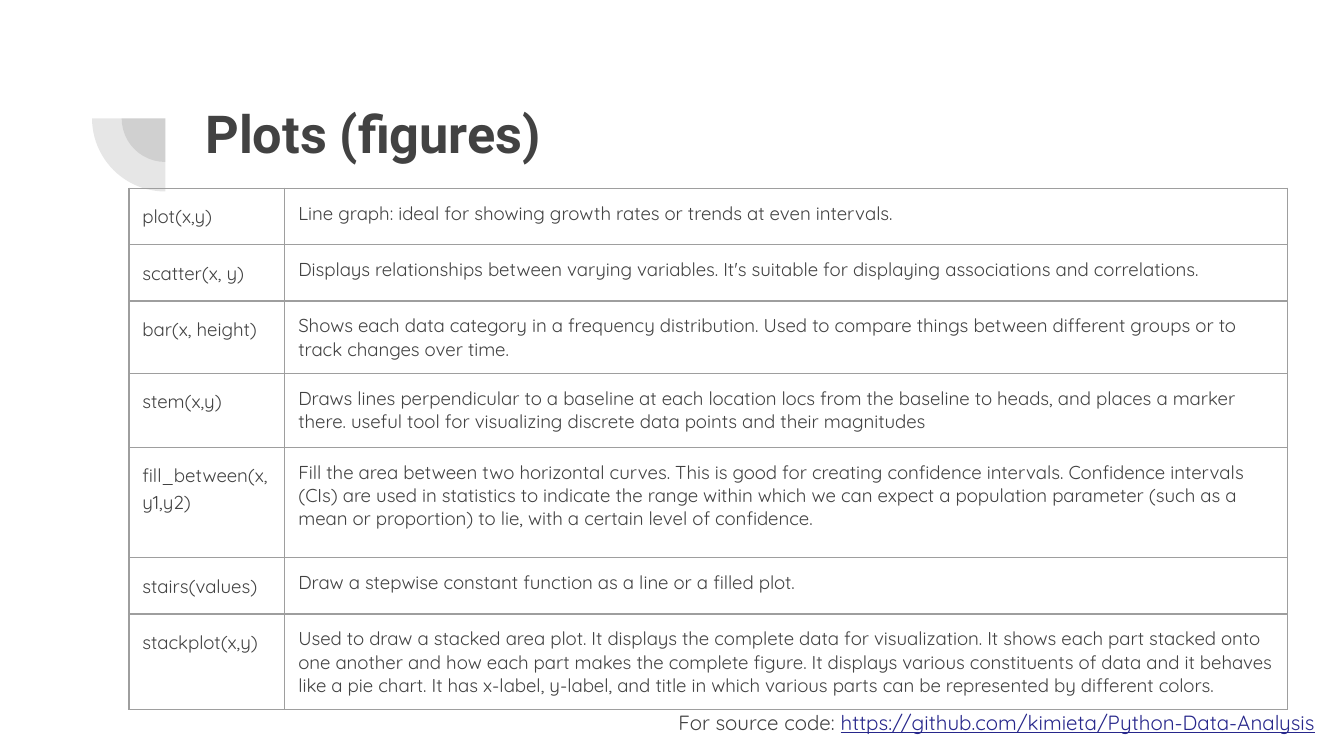
from typing import NamedTuple

from lxml import etree
from pptx import Presentation
from pptx import util as u
from pptx.dml.color import RGBColor
from pptx.enum import shapes, text
from pptx.oxml import ns

INK = RGBColor(0x42, 0x42, 0x42)
LINK = RGBColor(0x27, 0x27, 0x8B)
BORDER = RGBColor(0x9E, 0x9E, 0x9E)

BODY_FONT = {"name": "Quicksand", "size": u.Pt(10)}
FOOTER_FONT = {"name": "Quicksand", "size": u.Pt(11)}
TITLE_FONT = {"name": "Roboto", "size": u.Pt(28), "bold": True}
MARGINS = dict.fromkeys(
    ("margin_left", "margin_top", "margin_right", "margin_bottom"), u.Inches(0.1))

SLIDE_WIDTH = u.Inches(10)
SLIDE_HEIGHT = SLIDE_WIDTH * 9 // 16
COLUMN_WIDTHS = (1.16, 7.46)
PIE_CENTRE = (1.23, 0.88)
PIE_DIAMETERS = (0.65, 1.09)


class PlotRow(NamedTuple):
    call: str
    description: str
    height: float


class Run(NamedTuple):
    words: str
    font: dict
    color: RGBColor = INK


PLOT_ROWS = (
    PlotRow("plot(x,y)",
            "Line graph: ideal for showing growth rates or trends at even intervals.", 0.42),
    PlotRow("scatter(x, y)",
            "Displays relationships between varying variables. It's suitable for displaying "
            "associations and correlations.", 0.42),
    PlotRow("bar(x, height)",
            "Shows each data category in a frequency distribution. Used to compare things "
            "between different groups or to track changes over time.", 0.54),
    PlotRow("stem(x,y)",
            "Draws lines perpendicular to a baseline at each location locs from the baseline "
            "to heads, and places a marker there. useful tool for visualizing discrete data "
            "points and their magnitudes", 0.55),
    PlotRow("fill_between(x,y1,y2)",
            "Fill the area between two horizontal curves. This is good for creating confidence "
            "intervals. Confidence intervals (CIs) are used in statistics to indicate the range "
            "within which we can expect a population parameter (such as a mean or proportion) "
            "to lie, with a certain level of confidence.", 0.82),
    PlotRow("stairs(values)",
            "Draw a stepwise constant function as a line or a filled plot.", 0.42),
    PlotRow("stackplot(x,y)",
            "Used to draw a stacked area plot. It displays the complete data for visualization. "
            "It shows each part stacked onto one another and how each part makes the complete "
            "figure. It displays various constituents of data and it behaves like a pie chart. "
            "It has x-label, y-label, and title in which various parts can be represented by "
            "different colors.", 0.71),
)


def set_attributes(target, values: dict) -> None:
    for name, value in values.items():
        setattr(target, name, value)


def write_runs(paragraph, *runs: Run) -> None:
    for item in runs:
        run = paragraph.add_run()
        run.text = item.words
        set_attributes(run.font, item.font)
        run.font.color.rgb = item.color


def add_text(slide, left: float, top: float, width: float, height: float, *runs: Run) -> None:
    box = slide.shapes.add_textbox(*map(u.Inches, (left, top, width, height)))
    set_attributes(box.text_frame, MARGINS | {
        "word_wrap": True, "vertical_anchor": text.MSO_ANCHOR.TOP})
    write_runs(box.text_frame.paragraphs[0], *runs)


def add_quarter(slide, diameter: float) -> None:
    """Draw a translucent lower-left quarter disc around the shared centre."""
    left, top = (centre - diameter / 2 for centre in PIE_CENTRE)
    quarter = slide.shapes.add_shape(
        shapes.MSO_SHAPE.PIE, *map(u.Inches, (left, top, diameter, diameter)))
    quarter.adjustments[0], quarter.adjustments[1] = 108, 162
    quarter.rotation = 270
    quarter.shadow.inherit = False
    quarter.line.fill.background()
    quarter.fill.solid()
    quarter.fill.fore_color.rgb = INK
    color = quarter.fill._xPr.find(f".//{ns.qn('a:srgbClr')}")
    etree.SubElement(color, ns.qn("a:alpha"), val="13000")


def add_borders(cell) -> None:
    properties = cell._tc.get_or_add_tcPr()
    for index, side in enumerate(("lnL", "lnR", "lnT", "lnB")):
        line = etree.Element(ns.qn(f"a:{side}"), w=str(u.Pt(0.75)))
        fill = etree.SubElement(line, ns.qn("a:solidFill"))
        etree.SubElement(fill, ns.qn("a:srgbClr"), val=str(BORDER))
        properties.insert(index, line)


def fill_cell(cell, words: str, line_spacing: float) -> None:
    set_attributes(cell, MARGINS | {"vertical_anchor": text.MSO_ANCHOR.TOP})
    cell.fill.background()
    add_borders(cell)
    paragraph = cell.text_frame.paragraphs[0]
    paragraph.line_spacing = line_spacing
    write_runs(paragraph, Run(words, BODY_FONT))


def add_plot_table(slide, left: float, top: float) -> None:
    height = sum(row.height for row in PLOT_ROWS)
    table = slide.shapes.add_table(
        len(PLOT_ROWS), len(COLUMN_WIDTHS),
        *map(u.Inches, (left, top, sum(COLUMN_WIDTHS), height))).table
    set_attributes(table, {"first_row": False, "horz_banding": False})
    for column, width in zip(table.columns, COLUMN_WIDTHS):
        column.width = u.Inches(width)
    for row, plot in zip(table.rows, PLOT_ROWS):
        row.height = u.Inches(plot.height)
        fill_cell(row.cells[0], plot.call, 1.15)
        fill_cell(row.cells[1], plot.description, 1.0)


def main() -> None:
    presentation = Presentation()
    presentation.slide_width = SLIDE_WIDTH
    presentation.slide_height = SLIDE_HEIGHT
    slide = presentation.slides.add_slide(presentation.slide_layouts[6])

    for diameter in PIE_DIAMETERS:
        add_quarter(slide, diameter)
    add_text(slide, 4.95, 5.19, 5.03, 0.43,
             Run("For source code: ", FOOTER_FONT),
             Run("https://github.com/kimieta/Python-Data-Analysis",
                 FOOTER_FONT | {"underline": True}, LINK))
    add_text(slide, 1.43, 0.65, 7.69, 1.09, Run("Plots (figures)", TITLE_FONT))
    add_plot_table(slide, 0.96, 1.4)
    presentation.save("out.pptx")


if __name__ == "__main__":
    main()
